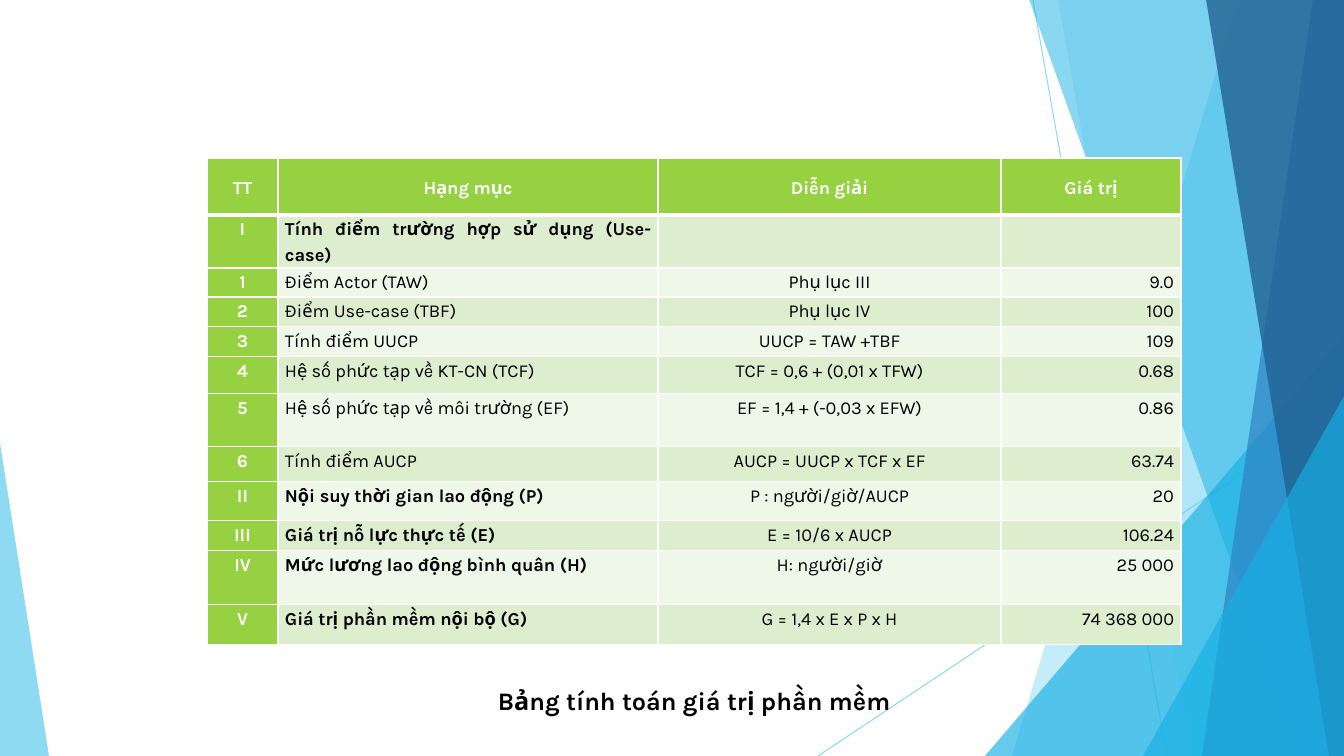
"""Slide with a use-case cost table beside a band of translucent blue facets."""
from lxml import etree
from pptx import Presentation
from pptx.dml.color import RGBColor
from pptx.enum.shapes import MSO_CONNECTOR, MSO_SHAPE
from pptx.enum.text import MSO_ANCHOR, PP_ALIGN
from pptx.oxml.ns import qn
from pptx.util import Pt

STRAIGHT = MSO_CONNECTOR.STRAIGHT
TRIANGLE = MSO_SHAPE.ISOSCELES_TRIANGLE
TOP, MIDDLE = MSO_ANCHOR.TOP, MSO_ANCHOR.MIDDLE
LEFT, CENTER, RIGHT = PP_ALIGN.LEFT, PP_ALIGN.CENTER, PP_ALIGN.RIGHT
JUSTIFY = PP_ALIGN.JUSTIFY

WHITE = RGBColor(0xFF, 0xFF, 0xFF)
BLACK = RGBColor(0x00, 0x00, 0x00)
GREEN = RGBColor(0x96, 0xD1, 0x41)
BAND_DARK = RGBColor(0xDD, 0xEE, 0xCF)
BAND_LIGHT = RGBColor(0xEF, 0xF7, 0xE9)
SKY = RGBColor(0x5F, 0xCB, 0xEF)
CYAN = RGBColor(0x17, 0xB0, 0xE4)
BLUE = RGBColor(0x2E, 0x83, 0xC3)
NAVY = RGBColor(0x22, 0x62, 0x92)

FONT = "Karla"
PAGE_WIDTH, PAGE_HEIGHT = 1344, 756
EMU_PER_PX = 914400 / 100.8

CAPTION = "Bảng tính toán giá trị phần mềm"
ROWS = [
    ("TT", "Hạng mục", "Diễn giải", "Giá trị"),
    ("I", "Tính điểm trường hợp sử dụng (Use-case)", "", ""),
    ("1", "Điểm Actor (TAW)", "Phụ lục III", "9.0"),
    ("2", "Điểm Use-case (TBF)", "Phụ lục IV", "100"),
    ("3", "Tính điểm UUCP", "UUCP = TAW +TBF", "109"),
    ("4", "Hệ số phức tạp về KT-CN (TCF)", "TCF = 0,6 + (0,01 x TFW)", "0.68"),
    ("5", "Hệ số phức tạp về môi trường (EF)", "EF = 1,4 + (-0,03 x EFW)", "0.86"),
    ("6", "Tính điểm AUCP", "AUCP = UUCP x TCF x EF", "63.74"),
    ("II", "Nội suy thời gian lao động (P)", "P : người/giờ/AUCP", "20"),
    ("III", "Giá trị nỗ lực thực tế (E)", "E = 10/6 x AUCP", "106.24"),
    ("IV", "Mức lương lao động bình quân (H)", "H: người/giờ", "25 000"),
    ("V", "Giá trị phần mềm nội bộ (G)", "G = 1,4 x E x P x H", "74 368 000"),
]
COLUMN_WIDTHS = [71, 380, 343, 180]
ROW_HEIGHTS = [57, 53, 29, 30, 30, 37, 53, 35, 39, 30, 54, 40]
COLUMN_ALIGNS = [CENTER, JUSTIFY, CENTER, RIGHT]
LEFT_ALIGNED_ROWS = ("5", "IV")
TABLE_LEFT, TABLE_TOP = 207, 158

RAYS = [((1033, 0), (1167, 756)), ((1344, 406), (818, 756))]
FACETS = [
    ("slab", (1238, 1012), SKY, 36),
    ("slab", (1058, 1192), SKY, 20),
    ("triangle", (985, 336, 359, 420, 1), CYAN, 66),
    ("slab", (1029, 1301), CYAN, 50),
    ("slab", (1313, 1202), BLUE, 70),
    ("slab", (1206, 1329), NAVY, 80),
    ("triangle", (1143, 396, 201, 360, 1), CYAN, 66),
    ("triangle", (0, 443, 49, 313, 0), SKY, 70),
]


def px(length):
    return round(length * EMU_PER_PX)


def set_opacity(fill_parent, percent):
    color = fill_parent.find(".//" + qn("a:srgbClr"))
    etree.SubElement(color, qn("a:alpha")).set("val", str(percent * 1000))


def add_ray(page, start, end):
    ray = page.shapes.add_connector(STRAIGHT, *map(px, start + end))
    ray.line.color.rgb = SKY
    ray.line.width = Pt(0.75)
    properties = ray._element.spPr
    set_opacity(properties, 70)
    etree.SubElement(properties, qn("a:effectLst"))


def add_facet(page, kind, geometry, color, opacity):
    if kind == "slab":
        top_x, bottom_x = geometry
        outline = page.shapes.build_freeform(top_x, -1, scale=EMU_PER_PX)
        outline.add_line_segments(
            [(PAGE_WIDTH, -1), (PAGE_WIDTH, PAGE_HEIGHT), (bottom_x, PAGE_HEIGHT)])
        facet = outline.convert_to_shape()
    else:
        *frame, apex = geometry
        facet = page.shapes.add_shape(TRIANGLE, *map(px, frame))
        facet.adjustments[0] = apex
    facet.shadow.inherit = False
    facet.fill.solid()
    facet.fill.fore_color.rgb = color
    set_opacity(facet._element.spPr, opacity)
    facet.line.fill.background()


def format_text(para, size, color, bold, align):
    para.alignment = align
    for span in para.runs:
        span.font.name = FONT
        span.font.size = Pt(size)
        span.font.bold = bold
        span.font.color.rgb = color


def set_borders(cell, widths):
    properties = cell._tc.get_or_add_tcPr()
    for index, (side, width) in enumerate(widths.items()):
        border = etree.Element(qn("a:ln" + side), w=str(Pt(width)))
        fill = etree.SubElement(border, qn("a:solidFill"))
        etree.SubElement(fill, qn("a:srgbClr"), val=str(WHITE))
        properties.insert(index, border)


def fill_cell(cell, row, column):
    header = row == 0
    label = ROWS[row][0]
    green = header or column == 0
    bold = green or (column == 1 and not label.isdigit())
    align = CENTER if header else COLUMN_ALIGNS[column]
    if column == 1 and label in LEFT_ALIGNED_ROWS:
        align = LEFT
    cell.fill.solid()
    cell.fill.fore_color.rgb = GREEN if green else BAND_DARK if row % 2 else BAND_LIGHT
    cell.margin_left = cell.margin_right = px(7)
    cell.margin_top = cell.margin_bottom = 0
    cell.vertical_anchor = MIDDLE if header else TOP
    para = cell.text_frame.paragraphs[0]
    para.text = ROWS[row][column]
    para.line_spacing = 1.2
    para.space_before = para.space_after = Pt(6)
    format_text(para, 13, WHITE if green else BLACK, bold, align)
    set_borders(cell, {"L": 1, "R": 1, "T": 3 if row == 1 else 1, "B": 3 if header else 1})


def add_cost_table(page):
    frame = page.shapes.add_table(
        len(ROWS), len(COLUMN_WIDTHS), px(TABLE_LEFT), px(TABLE_TOP),
        px(sum(COLUMN_WIDTHS)), px(sum(ROW_HEIGHTS)))
    table = frame.table
    for column, width in enumerate(COLUMN_WIDTHS):
        table.columns[column].width = px(width)
    for row, height in enumerate(ROW_HEIGHTS):
        table.rows[row].height = px(height)
        for column in range(len(COLUMN_WIDTHS)):
            fill_cell(table.cell(row, column), row, column)


def add_caption(page):
    box = page.shapes.add_textbox(px(TABLE_LEFT), px(680), px(sum(COLUMN_WIDTHS)), px(40))
    box.text_frame.word_wrap = True
    box.text_frame.text = CAPTION
    format_text(box.text_frame.paragraphs[0], 18, BLACK, True, CENTER)


def main():
    deck = Presentation()
    deck.slide_width, deck.slide_height = px(PAGE_WIDTH), px(PAGE_HEIGHT)
    page = deck.slides.add_slide(deck.slide_layouts[6])
    for start, end in RAYS:
        add_ray(page, start, end)
    for facet in FACETS:
        add_facet(page, *facet)
    add_caption(page)
    add_cost_table(page)
    deck.save("out.pptx")


if __name__ == "__main__":
    main()
